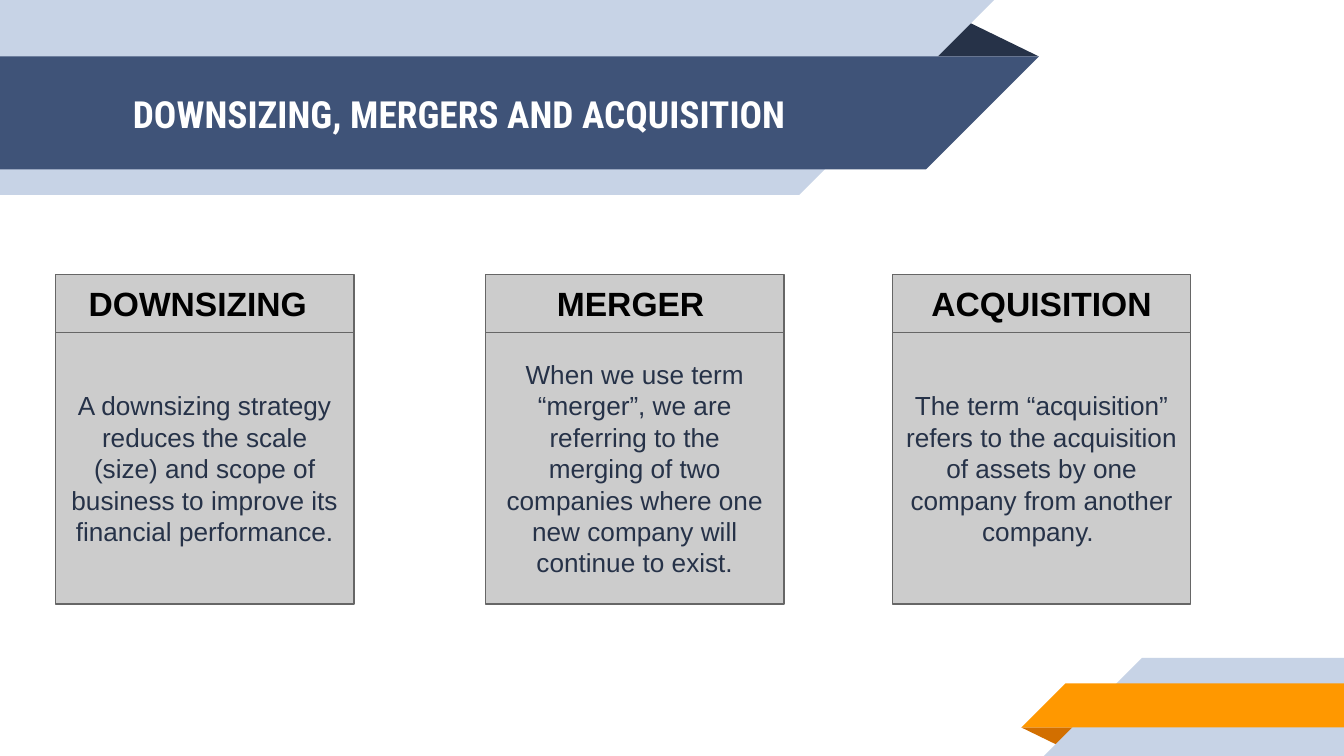
from pptx import Presentation
from pptx.dml.color import RGBColor
from pptx.enum.shapes import MSO_SHAPE
from pptx.enum.text import MSO_ANCHOR, PP_ALIGN
from pptx.util import Inches, Pt

CELL = Inches(0.1)
COLS, ROWS = 100, 56.25
COLORS = {
    "pale": "C7D3E6", "navy": "3F5378", "ink": "263248",
    "orange": "FF9800", "rust": "D26F00", "gray": "CCCCCC",
    "border": "666666", "black": "000000", "white": "FFFFFF",
}
CARDS = [
    (4.13, "DOWNSIZING", 1, "A downsizing strategy reduces the scale (size) and scope of "
     "business to improve its financial performance."),
    (36.13, "MERGER", 0.6, "When we use term “merger”, we are referring to the merging of two "
     "companies where one new company will continue to exist."),
    (66.4, "ACQUISITION", 0, "The term “acquisition” refers to the acquisition of assets by one "
     "company from another company. "),
]


def cells(n):
    """Turn grid cells into a length."""
    return round(n * CELL)


def color(name):
    """Look up a named colour."""
    return RGBColor.from_string(COLORS[name])


def add_polygon(slide, points, fill):
    """Draw a closed, unlined outline through grid points."""
    points = [(cells(x), cells(y)) for x, y in points]
    builder = slide.shapes.build_freeform(*points[0])
    builder.add_line_segments(points[1:], close=True)
    sp = builder.convert_to_shape()
    sp.shadow.inherit = False
    sp.fill.solid()
    sp.fill.fore_color.rgb = color(fill)
    sp.line.fill.background()


def add_ribbon(slide, box, front_end, front, fold, turned=False):
    """Place a folded ribbon in a box, half-turned when it enters from the right."""
    left, top, w, h = box

    def place(reach, depth):
        """Map a distance from the slide edge and a depth to the grid."""
        if turned:
            return left + w - reach, top + h - depth
        return left + reach, top + depth

    front_top, front_bottom = 0.29 * h, front_end * h
    back_reach = w - 0.23 * h
    add_polygon(slide, [place(w, front_top), place(w - 0.59 * h, front_top),
                        place(w - 0.39 * h, 0.1 * h)], fold)
    for reach, start, end, fill in ((back_reach, 0, h, "pale"),
                                    (w, front_top, front_bottom, front)):
        add_polygon(slide, [place(0, start), place(reach, start),
                            place(reach - (end - start), end), place(0, end)], fill)


def set_text(sp, text, size, font, ink, bold=False, align=PP_ALIGN.CENTER):
    """Fill a shape with one formatted, vertically centred paragraph."""
    tf = sp.text_frame
    tf.text = text
    tf.word_wrap = True
    tf.vertical_anchor = MSO_ANCHOR.MIDDLE
    tf.margin_left = tf.margin_right = tf.margin_top = tf.margin_bottom = CELL
    p = tf.paragraphs[0]
    p.alignment = align
    r = p.runs[0]
    r.font.size = Pt(size)
    r.font.name = font
    r.font.bold = bold
    r.font.color.rgb = color(ink)
    return tf


def add_title(slide, box, text):
    """Write the slide title on the top ribbon."""
    sp = slide.shapes.add_textbox(*map(cells, box))
    set_text(sp, text, 20, "Roboto Condensed", "white", True, PP_ALIGN.LEFT)


def add_panel(slide, box):
    """Draw one bordered gray rectangle."""
    sp = slide.shapes.add_shape(MSO_SHAPE.RECTANGLE, *map(cells, box))
    sp.shadow.inherit = False
    sp.fill.solid()
    sp.fill.fore_color.rgb = color("gray")
    sp.line.color.rgb = color("border")
    sp.line.width = Pt(0.75)
    return sp


def add_card(slide, box, heading, nudge, body):
    """Stack a heading panel on a body panel inside a box."""
    left, top, w, h = box
    head_h = 4.3
    tf = set_text(add_panel(slide, (left, top + head_h, w, h - head_h)),
                  body, 14, "Arial", "ink")
    tf.paragraphs[0].space_before = Pt(6)
    tf = set_text(add_panel(slide, (left, top, w, head_h)),
                  heading, 18, "Arial", "black", True)
    tf.margin_right = cells(1 + nudge)


def main():
    """Build and save the slide."""
    prs = Presentation()
    prs.slide_width, prs.slide_height = cells(COLS), cells(ROWS)
    slide = prs.slides.add_slide(prs.slide_layouts[6])
    add_ribbon(slide, (0, 0, 77.3, 14.5), 0.87, "navy", "ink")
    add_ribbon(slide, (COLS - 24, ROWS - 7.3, 24, 7.3), 0.74, "orange", "rust", True)
    add_title(slide, (8.9, 4.25, 57.5, 8.4), "DOWNSIZING, MERGERS AND ACQUISITION")
    for left, heading, nudge, body in CARDS:
        add_card(slide, (left, 20.44, 22.2, 24.5), heading, nudge, body)
    prs.save("out.pptx")


if __name__ == "__main__":
    main()
